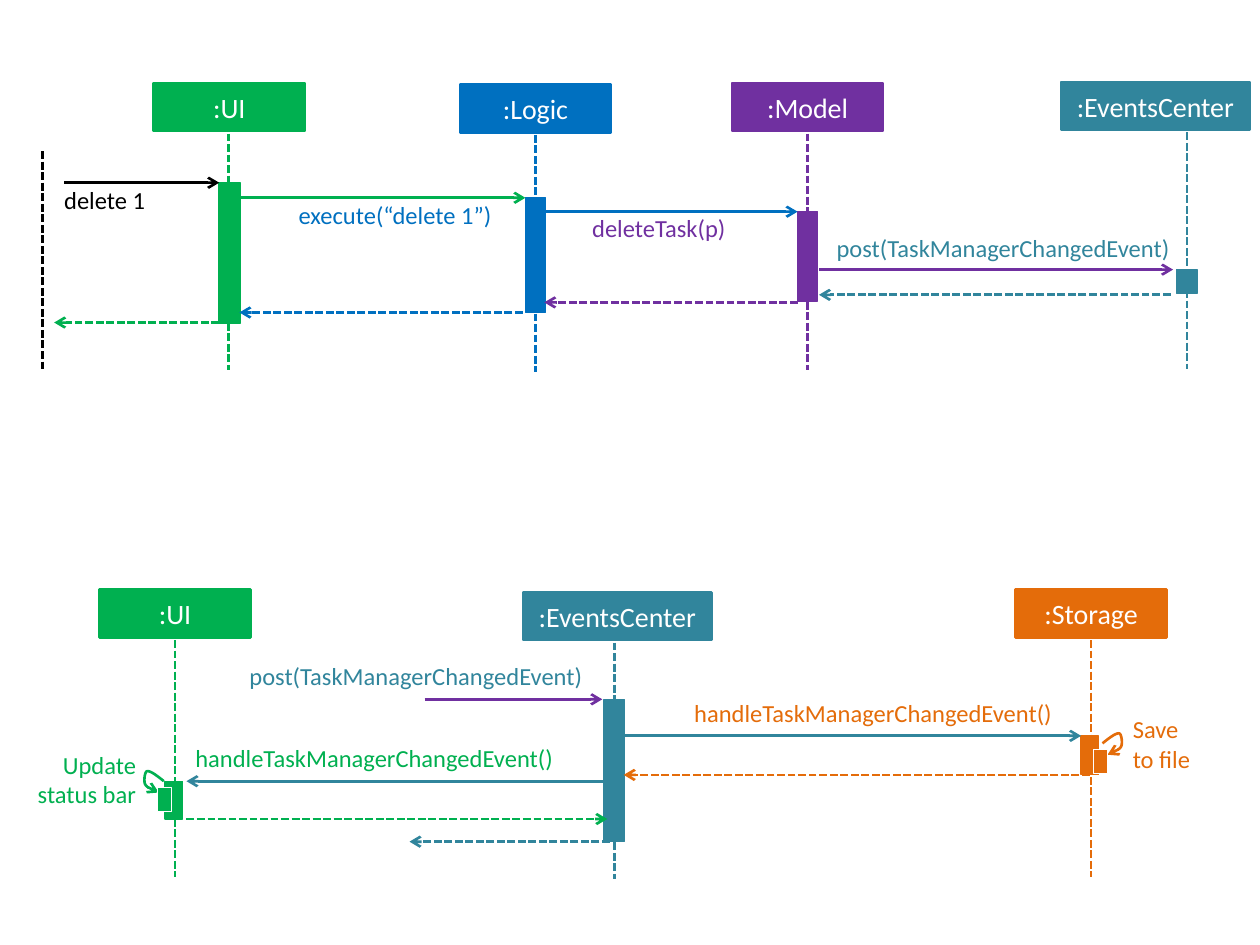
"""Builds a slide with two sequence diagrams for deleting a task."""
from dataclasses import dataclass

from lxml import etree
from pptx import Presentation
from pptx.dml.color import RGBColor
from pptx.enum.dml import MSO_LINE
from pptx.enum.shapes import MSO_CONNECTOR, MSO_SHAPE
from pptx.enum.text import MSO_ANCHOR, MSO_AUTO_SIZE, PP_ALIGN
from pptx.oxml.ns import qn
from pptx.util import Inches, Pt

DASH = MSO_LINE.SQUARE_DOT
STRAIGHT = MSO_CONNECTOR.STRAIGHT
RECT = MSO_SHAPE.RECTANGLE
MIDDLE = MSO_ANCHOR.MIDDLE
GROW = MSO_AUTO_SIZE.SHAPE_TO_FIT_TEXT
LEFT, CENTER, RIGHT = PP_ALIGN.LEFT, PP_ALIGN.CENTER, PP_ALIGN.RIGHT
COLS, ROWS = 100, 75


@dataclass(frozen=True)
class Theme:
    """Colours, font and sizes of the diagrams."""
    ui: str = "00B050"
    logic: str = "0070C0"
    model: str = "7030A0"
    events: str = "31859C"
    storage: str = "E46C0A"
    user: str = "000000"
    white: str = "FFFFFF"
    font: str = "Calibri"
    name_size: int = 16
    label_size: int = 14
    stroke: float = 1.5
    thin: float = 0.75


class Diagram:
    """Draws sequence diagram parts on a grid of 100 columns and 75 rows."""

    def __init__(self, prs, theme):
        self.t = theme
        self.s = prs.slides.add_slide(prs.slide_layouts[6])
        self.cw, self.rh = prs.slide_width / COLS, prs.slide_height / ROWS

    def at(self, x, y):
        """Turns a grid position or size into lengths."""
        return round(x * self.cw), round(y * self.rh)

    def pen(self, line, colour, width, dashed=False):
        """Sets the look of a line."""
        line.color.rgb = RGBColor.from_string(colour)
        line.width = Pt(width)
        if dashed:
            line.dash_style = DASH

    def arrowhead(self, shape, end):
        """Adds an open arrowhead to one end of a line."""
        ln = shape.line._get_or_add_ln()
        etree.SubElement(ln, qn("a:" + end)).set("type", "arrow")

    def add_text(self, tf, lines, size, colour, align):
        """Adds lines of text as one paragraph."""
        p = tf.paragraphs[0]
        p.alignment = align
        for i, line in enumerate(lines):
            if i:
                p.add_line_break()
            r = p.add_run()
            r.text = line
            r.font.name, r.font.size = self.t.font, Pt(size)
            r.font.color.rgb = RGBColor.from_string(colour)

    def box(self, x, y, w, h, colour, edge=None, width=None):
        """Draws a filled rectangle."""
        sp = self.s.shapes.add_shape(RECT, *self.at(x, y), *self.at(w, h))
        sp.shadow.inherit = False
        sp.fill.solid()
        sp.fill.fore_color.rgb = RGBColor.from_string(colour)
        self.pen(sp.line, edge or colour, width or self.t.thin)
        return sp

    def line(self, x1, y1, x2, y2, colour, dashed=False, arrow=False):
        """Draws a straight line."""
        cx = self.s.shapes.add_connector(STRAIGHT, *self.at(x1, y1), *self.at(x2, y2))
        self.pen(cx.line, colour, self.t.stroke, dashed)
        if arrow:
            self.arrowhead(cx, "tailEnd")
        etree.SubElement(cx._element.spPr, qn("a:effectLst"))

    def participant(self, name, colour, x, y, w, axis, start, end, bar_w=1.6):
        """Draws a named box, its lifeline and its activation bar."""
        sp = self.box(x, y, w, 3.8, colour, width=self.t.stroke)
        sp.text_frame.vertical_anchor = MIDDLE
        self.add_text(sp.text_frame, [name], self.t.name_size, self.t.white, CENTER)
        self.line(axis, y + 4, axis, y + 22.8, colour, dashed=True)
        self.box(axis - 0.8, start, bar_w, end - start, colour)

    def message(self, x1, x2, y, colour, dashed=False):
        """Draws a call, or a dashed return, from sender to receiver."""
        self.line(x1, y, x2, y, colour, dashed, arrow=True)

    def label(self, x, y, w, colour, *lines, align=LEFT):
        """Adds a message label."""
        rows = 2.4 if w > 9 else 4.7
        tb = self.s.shapes.add_textbox(*self.at(x, y), *self.at(w, rows))
        tf = tb.text_frame
        tf.margin_left = tf.margin_right = tf.margin_top = tf.margin_bottom = 0
        tf.word_wrap, tf.auto_size = True, GROW
        self.add_text(tf, lines, self.t.label_size, colour, align)

    def self_call(self, x, y, colour, side):
        """Draws a curved arrow to a nested bar, opening to side -1 or 1."""
        knots = [(0, 0), (0.5, -0.2), (1, -0.4), (1.1, -0.7), (1.2, -1), (1.1, -1.7),
                 (0.9, -1.7), (0.6, -1.7), (0.1, -1.3), (-0.4, -0.9)]
        points = []
        for i in range(0, 9, 3):
            for n in range(1, 9):
                t = n / 8
                weights = (1 - t) ** 3, 3 * t * (1 - t) ** 2, 3 * t * t * (1 - t), t ** 3
                dx, dy = (sum(k * q[a] for k, q in zip(weights, knots[i:i + 4]))
                          for a in (0, 1))
                points.append(self.at(x + side * dx, y + dy))
        fb = self.s.shapes.build_freeform(*self.at(x, y))
        fb.add_line_segments(points, close=False)
        sp = fb.convert_to_shape()
        sp.shadow.inherit = False
        sp.fill.background()
        self.pen(sp.line, colour, self.t.stroke)
        self.arrowhead(sp, "headEnd")
        self.box(x - 0.6 - side * 0.5, y - 0.4, 1.1, 1.9, colour, self.t.white)


def delete_command(d, t):
    """Draws the upper diagram, from the user to the events center."""
    d.participant(":UI", t.ui, 12.2, 6.6, 12, 18.15, 14.5, 25.7, 1.7)
    d.participant(":Logic", t.logic, 36.5, 6.7, 12, 42.5, 15.7, 24.8)
    d.participant(":Model", t.model, 58.1, 6.6, 12, 64.1, 16.8, 23.9)
    d.participant(":EventsCenter", t.events, 84.2, 6.5, 15, 94.2, 21.4, 23.3)
    d.line(3.4, 12, 3.4, 29.5, t.user, dashed=True)
    d.message(5.1, 17.4, 14.5, t.user)
    d.message(19, 41.7, 15.7, t.ui)
    d.message(43.2, 63.3, 16.8, t.logic)
    d.message(65, 93.1, 21.4, t.model)
    d.message(92.9, 65, 23.4, t.events, dashed=True)
    d.message(63.3, 43.2, 24, t.model, dashed=True)
    d.message(41.5, 19, 24.8, t.logic, dashed=True)
    d.message(17.4, 4.3, 25.6, t.ui, dashed=True)
    d.label(5.1, 14.7, 9.4, t.user, "delete 1")
    d.label(23.7, 15.9, 15.6, t.logic, "execute(“delete 1”)")
    d.label(47, 16.9, 15.6, t.model, "deleteTask(p)")
    d.label(66.4, 18.5, 26.7, t.events, "post(TaskManagerChangedEvent)")


def changed_event(d, t):
    """Draws the lower diagram, from the events center to its handlers."""
    handler = "handleTaskManagerChangedEvent()"
    d.participant(":UI", t.ui, 7.9, 46.8, 12, 13.9, 62, 65, 1.4)
    d.participant(":EventsCenter", t.events, 41.5, 47, 15, 48.75, 55.5, 66.8)
    d.participant(":Storage", t.storage, 80.6, 46.8, 12, 86.6, 58.4, 61.5, 1.4)
    d.message(33.7, 47.8, 55.5, t.model)
    d.message(49.5, 85.8, 58.4, t.events)
    d.message(86.5, 49.5, 61.5, t.storage, dashed=True)
    d.message(48.2, 14.8, 62, t.events)
    d.message(14.8, 48.2, 65, t.ui, dashed=True)
    d.message(48.4, 32.5, 66.8, t.events, dashed=True)
    d.label(19.8, 52.5, 29.7, t.events, "post(TaskManagerChangedEvent)")
    d.label(55.1, 55.4, 29.1, t.storage, handler)
    d.label(15.5, 59, 29.1, t.ui, handler)
    d.self_call(12.6, 62.9, t.ui, -1)
    d.self_call(87.9, 59.9, t.storage, 1)
    d.label(2.1, 59.5, 8.7, t.ui, "Update status bar", align=RIGHT)
    d.label(89.9, 56.7, 5.9, t.storage, "Save ", "to file")


def main():
    """Builds and saves the slide."""
    prs = Presentation()
    prs.slide_width, prs.slide_height = Inches(10), Inches(7.5)
    theme = Theme()
    diagram = Diagram(prs, theme)
    delete_command(diagram, theme)
    changed_event(diagram, theme)
    prs.save("out.pptx")


if __name__ == "__main__":
    main()
